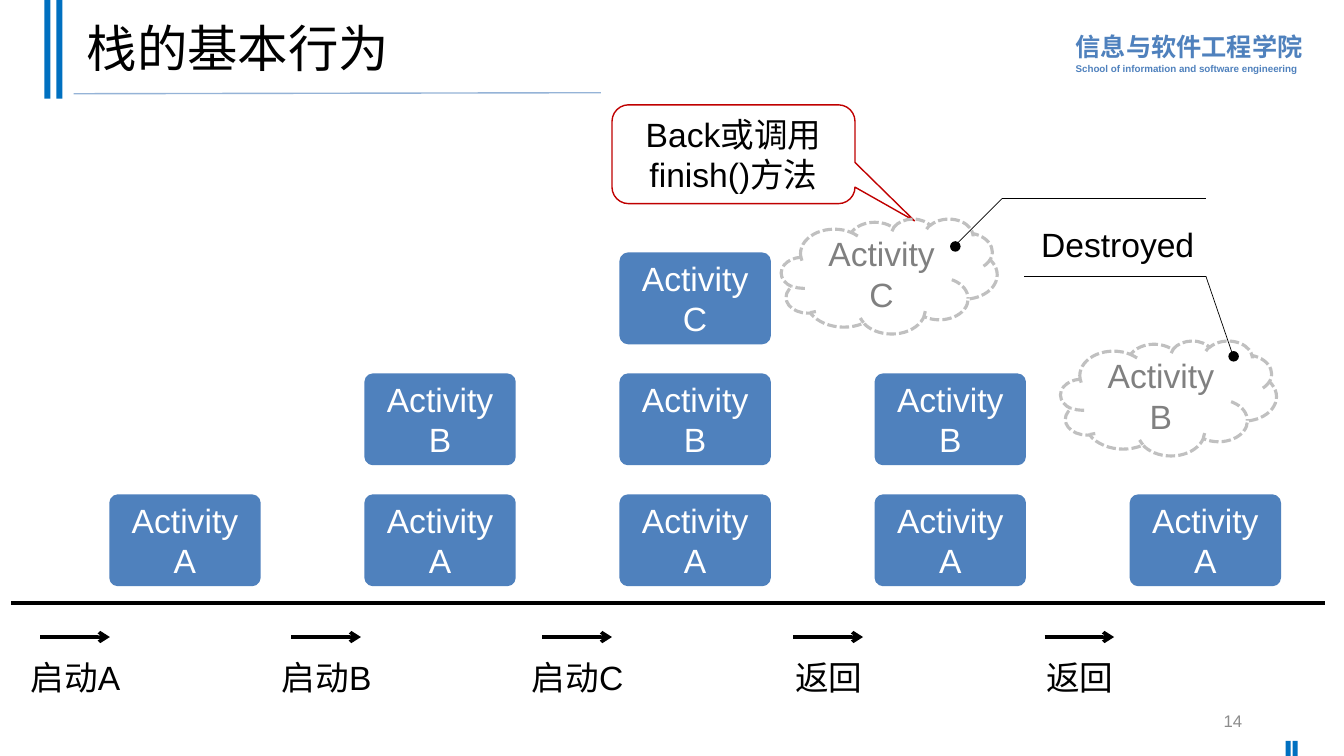
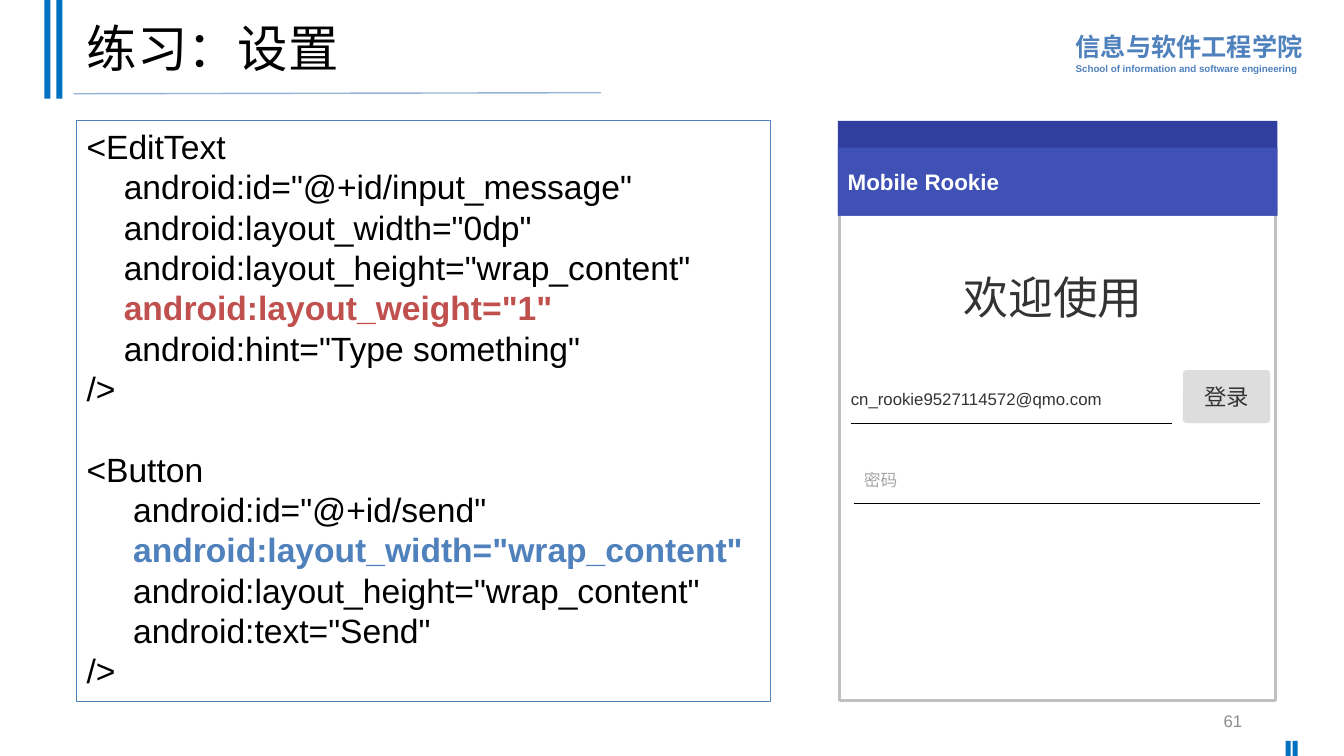
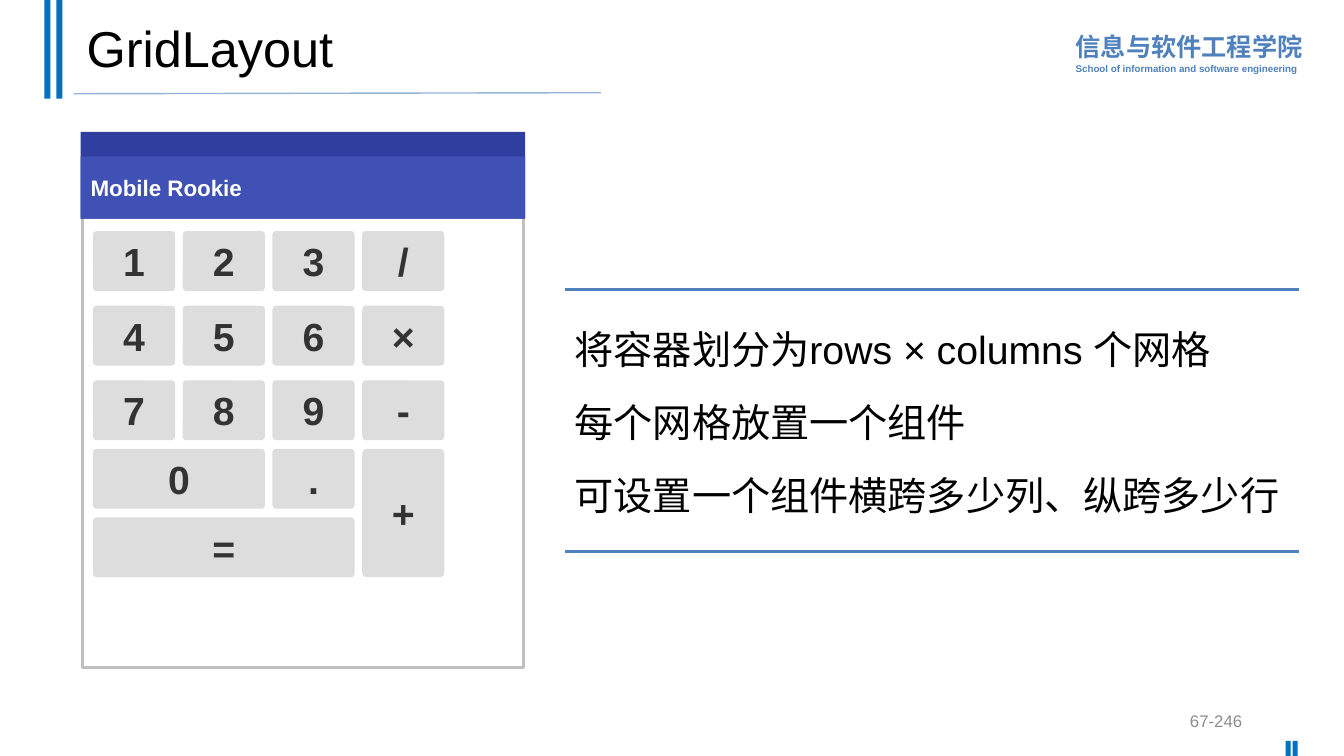
from lxml import etree
from pptx import Presentation
from pptx.dml.color import RGBColor
from pptx.enum.dml import MSO_LINE
from pptx.enum.shapes import MSO_CONNECTOR, MSO_SHAPE as SHAPE
from pptx.enum.text import MSO_ANCHOR as ANCHOR, MSO_AUTO_SIZE, PP_ALIGN as ALIGN
from pptx.oxml.ns import qn
from pptx.util import Inches, Pt

FONT = "Arial"
COLORS = {
    "black": "000000", "white": "FFFFFF", "blue": "4F81BD", "band": "0070C0",
    "rule": "95B3D7", "number": "8C8C8C", "red": "C00000", "code_red": "C0504D",
    "silver": "C0C0C0", "gray": "808080", "bar_dark": "303F9F", "bar": "3F51B5",
    "key": "DDDDDD", "ink": "333333", "hint": "A6A6A6",
}

SCHOOL = [("信息与软件工程学院", 18), ("School of information and software engineering", 7)]
BANDS = [(0.44, 0, 0.06, 0.98), (0.56, 0, 0.06, 0.98),
         (12.75, 7.35, 0.05, 0.15), (12.82, 7.35, 0.05, 0.15)]

STACKS = ["A", "AB", "ABC", "AB", "A"]
STEPS = ["启动A", "启动B", "启动C", "返回", "返回"]
CLOUDS = [("C", 7.75, 2.17), ("B", 10.52, 3.38)]
LEADERS = [[(11.96, 1.97), (9.94, 1.97), (9.47, 2.44)],
           [(10.16, 2.74), (11.96, 2.74), (12.23, 3.53)]]

CODE = [
    [("<EditText", "black"),
     ('    android:id="@+id/input_message"', "black"),
     ('    android:layout_width="0dp"', "black"),
     ('    android:layout_height="wrap_content"', "black"),
     ('    android:layout_weight="1"', "code_red"),
     ('    android:hint="Type something"', "black"),
     ("/>", "black")],
    [("<Button", "black"),
     ('     android:id="@+id/send"', "black"),
     ('     android:layout_width="wrap_content"', "blue"),
     ('     android:layout_height="wrap_content"', "black"),
     ('     android:text="Send"', "black"),
     ("/>", "black")],
]
FIELDS = [
    ("欢迎使用", (8.4, 2.68, 4.09, 0.52), 32, "ink", ALIGN.CENTER),
    ("cn_rookie9527114572@qmo.com", (8.34, 3.73, 3.28, 0.45), 12, "ink", ALIGN.LEFT),
    ("密码", (8.47, 4.52, 3.64, 0.48), 12, "hint", ALIGN.LEFT),
]
FIELD_LINES = [(8.44, 4.2, 11.62), (8.47, 4.99, 12.5)]

KEY_ROWS = [2.3, 3.04, 3.78, 4.46, 5.14]
KEYS = [(label, r, c, 1, 1) for r, row in enumerate(["123/", "456×", "789-"])
        for c, label in enumerate(row)]
KEYS += [("0", 3, 0, 1, 2), (".", 3, 2, 1, 1), ("=", 4, 0, 1, 3), ("+", 3, 3, 2, 1)]
POINTS = ["将容器划分为rows × columns 个网格", "每个网格放置一个组件",
          "可设置一个组件横跨多少列、纵跨多少行"]


def rgb(name):
    return RGBColor.from_string(COLORS[name])


def add_run(p, text, size, color, bold=False):
    r = p.add_run()
    r.text = text
    r.font.name, r.font.size, r.font.bold = FONT, Pt(size), bold
    r.font.color.rgb = rgb(color)


def write(sp, lines, size, color="black", bold=False, align=ALIGN.LEFT,
          anchor=ANCHOR.MIDDLE, spacing=None, before=0):
    tf = sp.text_frame
    tf.word_wrap = True
    tf.auto_size = MSO_AUTO_SIZE.NONE
    tf.vertical_anchor = anchor
    for i, line in enumerate(lines):
        p = tf.add_paragraph() if i else tf.paragraphs[0]
        p.alignment = align
        if spacing:
            p.line_spacing = spacing
        if i and before:
            p.space_before = Pt(before)
        for j, part in enumerate(line.split("\n")):
            if j:
                p.add_line_break()
            add_run(p, part, size, color, bold)
    return tf


def add_text(sl, box, lines, size, **style):
    sp = sl.shapes.add_textbox(*map(Inches, box))
    return write(sp, lines, size, **style)


def add_box(sl, kind, box, fill=None, line=None, width=1):
    sp = sl.shapes.add_shape(kind, *map(Inches, box))
    sp.shadow.inherit = False
    if fill:
        sp.fill.solid()
        sp.fill.fore_color.rgb = rgb(fill)
    else:
        sp.fill.background()
    if line:
        sp.line.color.rgb = rgb(line)
        sp.line.width = Pt(width)
    else:
        sp.line.fill.background()
    return sp


def add_line(sl, start, end, color, width, arrow=False):
    cx = sl.shapes.add_connector(MSO_CONNECTOR.STRAIGHT, *map(Inches, (*start, *end)))
    cx.line.color.rgb = rgb(color)
    cx.line.width = Pt(width)
    if arrow:
        etree.SubElement(cx.line._get_or_add_ln(), qn("a:tailEnd"), type="arrow")
    etree.SubElement(cx._element.spPr, qn("a:effectLst"))


def add_slide(prs, title, number):
    sl = prs.slides.add_slide(prs.slide_layouts[5])
    for box in BANDS:
        add_box(sl, SHAPE.RECTANGLE, box, "band")
    add_line(sl, (0.73, 0.93), (5.96, 0.92), "rule", 1)
    sp = sl.shapes.title
    sp.left, sp.top, sp.width, sp.height = map(Inches, (0.76, 0.07, 11.5, 0.88))
    write(sp, [title], 36, spacing=0.9)
    tf = add_text(sl, (10.57, 0.23, 2.45, 0.56), [t for t, _ in SCHOOL], 18, color="blue",
                  bold=True, anchor=ANCHOR.TOP, spacing=1.1)
    for p, (_, size) in zip(tf.paragraphs, SCHOOL):
        p.runs[0].font.size = Pt(size)
    add_text(sl, (9.42, 6.95, 3, 0.4), [number], 12, color="number", align=ALIGN.RIGHT)
    return sl


def add_phone(sl, x, y, w, head, bottom):
    top = y + head - 0.02
    add_box(sl, SHAPE.RECTANGLE, (x + 0.02, top, w - 0.04, bottom - top), None, "silver", 2.25)
    add_box(sl, SHAPE.RECTANGLE, (x, y, w, head), "bar_dark")
    bar = add_box(sl, SHAPE.RECTANGLE, (x, y + head * 0.28, w, head * 0.72), "bar")
    write(bar, ["Mobile Rookie"], 16, "white", True)


def add_key(sl, box, label, size, bold):
    sp = add_box(sl, SHAPE.ROUNDED_RECTANGLE, box, "key", "key")
    sp.adjustments[0] = 0.05
    write(sp, [label], size, "ink", bold, ALIGN.CENTER)


def build_stack(prs):
    sl = add_slide(prs, "栈的基本行为", "14")
    callout = add_box(sl, SHAPE.ROUNDED_RECTANGULAR_CALLOUT, (6.07, 1.04, 2.41, 0.98),
                      None, "red")
    for i, value in enumerate((0.745, 0.674, 0.167)):
        callout.adjustments[i] = value
    write(callout, ["Back或调用finish()方法"], 24, align=ALIGN.CENTER)
    add_line(sl, (0.11, 5.98), (13.14, 5.98), "black", 2.5)
    for i, stack in enumerate(STACKS):
        for level, name in enumerate(stack):
            box = (1.1 + i * 2.53, 4.92 - level * 1.2, 1.47, 0.88)
            sp = add_box(sl, SHAPE.ROUNDED_RECTANGLE, box, "blue", "blue", 2.25)
            sp.adjustments[0] = 0.08
            write(sp, [f"Activity {name}"], 24, "white", align=ALIGN.CENTER)
    for i, step in enumerate(STEPS):
        x = 0.4 + i * 2.49
        add_line(sl, (x, 6.32), (x + 0.69, 6.32), "black", 2.5, arrow=True)
        tf = add_text(sl, (x - 0.25, 6.43, 1.2, 0.51), [step], 24, align=ALIGN.CENTER,
                      anchor=ANCHOR.TOP, spacing=1.1)
        tf.margin_left = tf.margin_right = 0
    add_text(sl, (10.2, 2.13, 1.77, 0.51), ["Destroyed"], 24, align=ALIGN.CENTER,
             anchor=ANCHOR.TOP, spacing=1.1)
    for name, x, y in CLOUDS:
        cloud = add_box(sl, SHAPE.CLOUD, (x, y, 2.14, 1.14), None, "silver", 2.25)
        cloud.line.dash_style = MSO_LINE.SQUARE_DOT
        write(cloud, [f"Activity\n{name}"], 24, "gray", align=ALIGN.CENTER)
    for points in LEADERS:
        for start, end in zip(points, points[1:]):
            add_line(sl, start, end, "black", 0.5)
        x, y = points[-1]
        add_box(sl, SHAPE.OVAL, (x - 0.04, y - 0.04, 0.09, 0.09), "black", "black")


def build_exercise(prs):
    sl = add_slide(prs, "练习：设置", "61")
    panel = add_box(sl, SHAPE.RECTANGLE, (0.76, 1.2, 6.88, 5.76), None, "blue", 0.75)
    blocks = ["\n".join(text for text, _ in block) for block in CODE]
    tf = write(panel, blocks, 24, anchor=ANCHOR.TOP, before=28.8)
    for p, block in zip(tf.paragraphs, CODE):
        for r, (_, color) in zip(p.runs, block):
            r.font.color.rgb = rgb(color)
            r.font.bold = color != "black"
    add_phone(sl, 8.31, 1.2, 4.36, 0.94, 6.95)
    add_key(sl, (11.74, 3.68, 0.85, 0.51), "登录", 16, False)
    for x, y, right in FIELD_LINES:
        add_line(sl, (x, y), (right, y), "black", 0.5)
    for text, box, size, color, align in FIELDS:
        add_text(sl, box, [text], size, color=color, align=align)


def build_grid(prs):
    sl = add_slide(prs, "GridLayout", "67-246")
    add_text(sl, (5.6, 3.08, 7.28, 2.39), POINTS, 28, anchor=ANCHOR.TOP,
             spacing=1.2, before=12)
    add_phone(sl, 0.8, 1.31, 4.41, 0.86, 6.62)
    for label, row, col, rows, cols in KEYS:
        y = KEY_ROWS[row]
        w = 0.8 + (cols - 1) * 0.89
        h = KEY_ROWS[row + rows - 1] - y + 0.58
        add_key(sl, (0.93 + col * 0.89, y, w, h), label, 28, True)
    for y in (2.87, 5.47):
        add_line(sl, (5.6, y), (12.88, y), "blue", 2.25)


def main():
    prs = Presentation()
    prs.slide_width, prs.slide_height = Inches(13.33), Inches(7.5)
    build_stack(prs)
    build_exercise(prs)
    build_grid(prs)
    prs.save("out.pptx")


if __name__ == "__main__":
    main()
